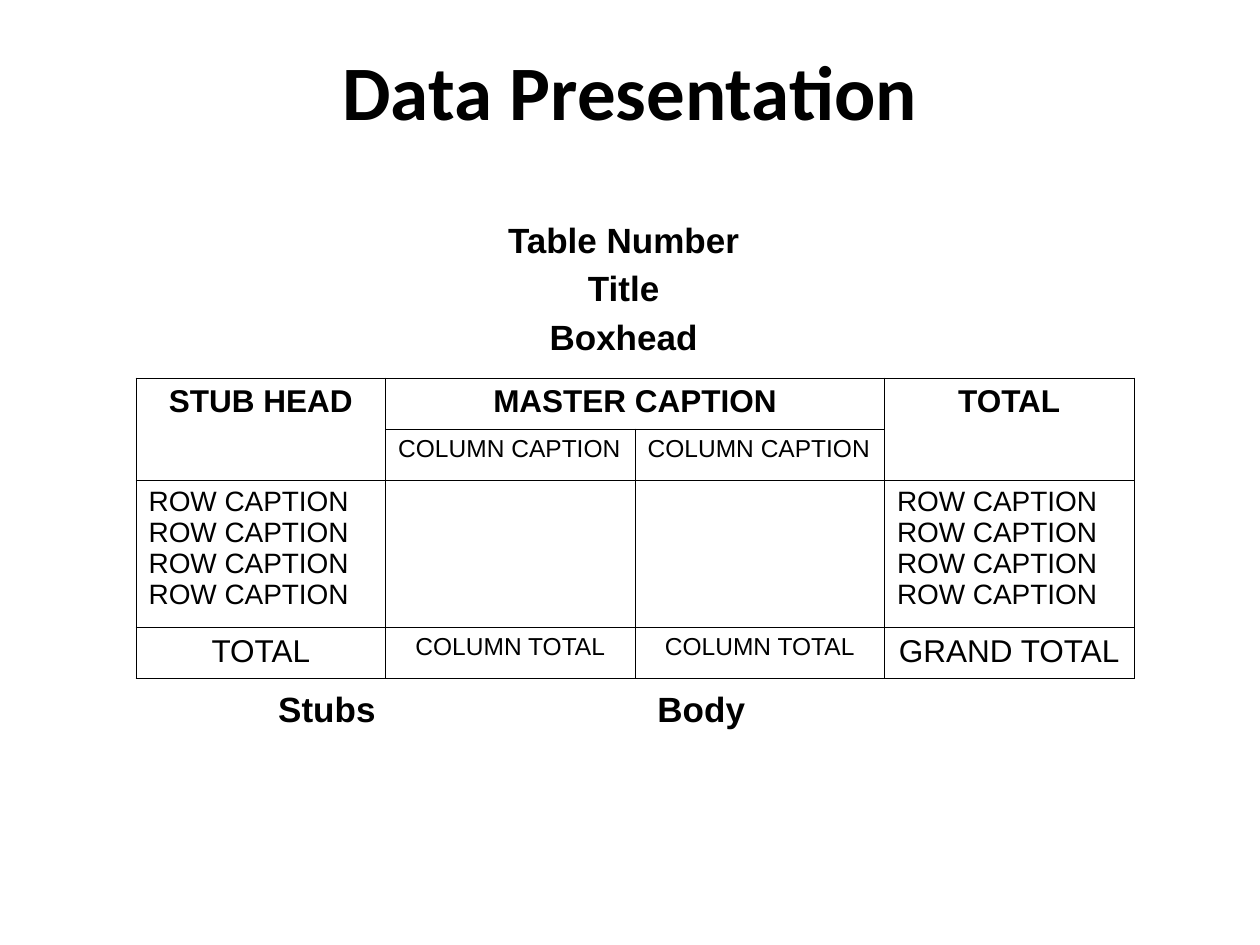
from lxml.etree import SubElement as Sub
from pptx import Presentation
from pptx.dml.color import RGBColor as RGB
from pptx.enum.text import MSO_ANCHOR as Anchor, PP_ALIGN as Align
from pptx.oxml.ns import qn
from pptx.util import Inches, Pt

INK = {"text": "000000", "line": "000000", "cell": "FFFFFF"}
WIDE, HIGH = Inches(10), Inches(7.5)
MID, LEFT = Align.CENTER, Align.LEFT


def area(x, y, w, h):
    """Turn shares of the slide into a box."""
    return int(x * WIDE), int(y * HIGH), int(w * WIDE), int(h * HIGH)


def write(frame, lines, size, bold=False, align=MID, face="Arial", gap=0, pitch=None):
    """Fill a text frame with evenly styled paragraphs."""
    frame.word_wrap = True
    for i, line in enumerate(lines):
        para = frame.add_paragraph() if i else frame.paragraphs[0]
        para.text = line
        para.alignment = align
        para.line_spacing = pitch
        para.space_before = Pt(gap if i else 0)
        font = para.font
        font.name, font.size, font.bold = face, Pt(size), bold
        font.color.rgb = RGB.from_string(INK["text"])


def label(slide, box, lines, size, **style):
    """Add a bold text box anchored at its top."""
    frame = slide.shapes.add_textbox(*box).text_frame
    frame.vertical_anchor = Anchor.TOP
    write(frame, lines, size, bold=True, **style)


def frame_cell(cell):
    """Give a cell its plain fill and thin border."""
    props = cell._tc.get_or_add_tcPr()
    for side in ("lnL", "lnR", "lnT", "lnB"):
        line = Sub(props, qn(f"a:{side}"), w=str(Pt(0.45)))
        Sub(Sub(line, qn("a:solidFill")), qn("a:srgbClr"), val=INK["line"])
    cell.fill.solid()
    cell.fill.fore_color.rgb = RGB.from_string(INK["cell"])


def grid(slide, box):
    """Draw the parts of a statistical table."""
    table = slide.shapes.add_table(4, 4, *box).table
    table.first_row = table.horz_banding = False
    for col in table.columns:
        col.width = box[2] // 4
    for row, share in zip(table.rows, (0.17, 0.17, 0.49, 0.17)):
        row.height = int(box[3] * share)
    for cell in table.iter_cells():
        frame_cell(cell)
    for start, end in (((0, 0), (1, 0)), ((0, 1), (0, 2)), ((0, 3), (1, 3))):
        table.cell(*start).merge(table.cell(*end))
    heads = {0: "STUB HEAD", 1: "MASTER CAPTION", 3: "TOTAL"}
    for col, text in heads.items():
        write(table.cell(0, col).text_frame, [text], 18, bold=True)
    for col in (1, 2):
        write(table.cell(1, col).text_frame, ["COLUMN CAPTION"], 14, align=LEFT)
        write(table.cell(3, col).text_frame, ["COLUMN TOTAL"], 14)
    for col, text in ((0, "TOTAL"), (3, "GRAND TOTAL")):
        write(table.cell(2, col).text_frame, ["ROW CAPTION"] * 4, 16, align=LEFT)
        write(table.cell(3, col).text_frame, [text], 18)


def notes(slide, box):
    """Name the stubs and the body below the table."""
    x, y, w, h = box
    for text, share in (("Stubs", 0.13), ("Body", 0.51)):
        spot = x + int(w * share), y, w // 4, h
        label(slide, spot, [text], 20, align=LEFT, pitch=0.9)


def main():
    """Build and save the slide."""
    deck = Presentation()
    deck.slide_width, deck.slide_height = WIDE, HIGH
    slide = deck.slides.add_slide(deck.slide_layouts[6])
    label(slide, area(0.05, 0.04, 0.9, 0.17), ["Data Presentation"], 44, face="Calibri")
    heads = ["Table Number", "Title", "Boxhead"]
    label(slide, area(0.06, 0.23, 0.87, 0.16), heads, 20, gap=5.9, pitch=0.9)
    grid(slide, area(0.108, 0.4, 0.792, 0.318))
    notes(slide, area(0.108, 0.726, 0.792, 0.06))
    deck.save("out.pptx")


if __name__ == "__main__":
    main()
